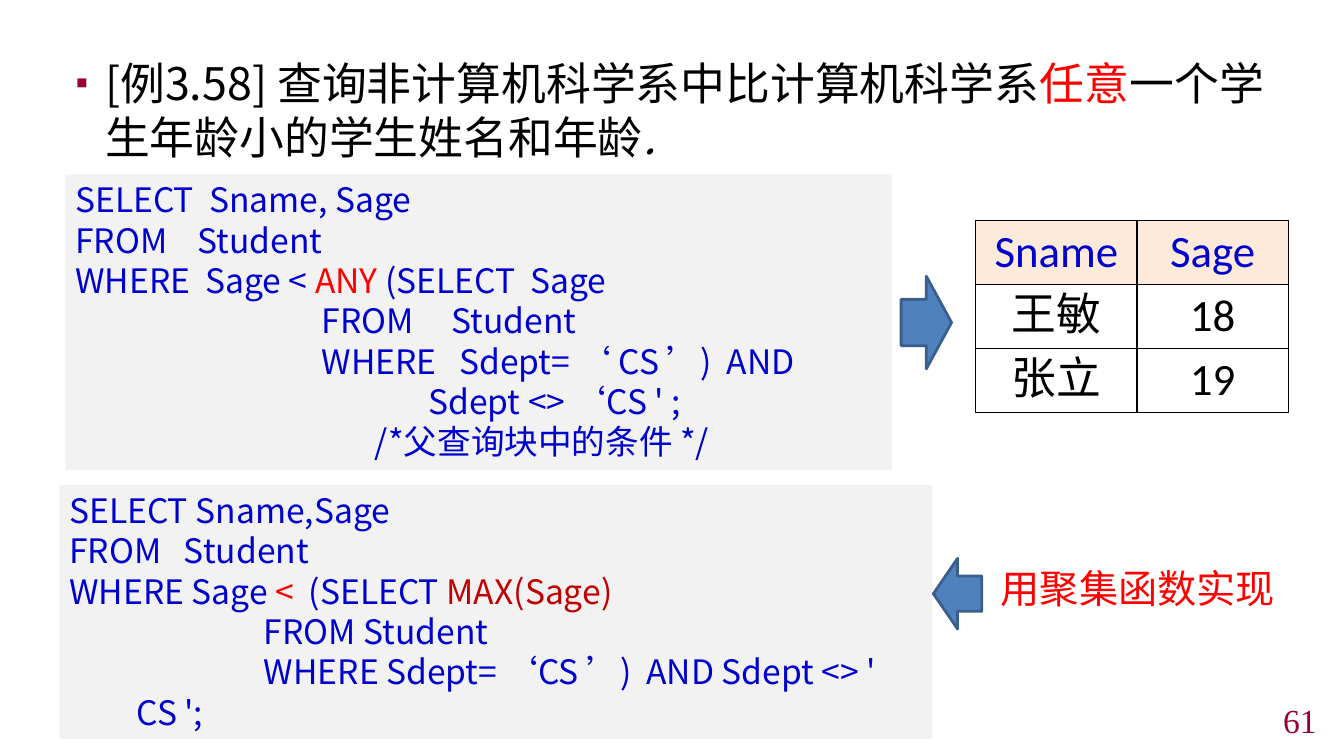
from pptx import Presentation
from pptx.dml.color import RGBColor
from pptx.enum.shapes import MSO_SHAPE
from pptx.enum.text import MSO_ANCHOR, MSO_AUTO_SIZE, PP_ALIGN
from pptx.oxml import parse_xml
from pptx.oxml.ns import nsdecls
from pptx.util import Pt

RECT, RIGHT_ARROW, LEFT_ARROW = MSO_SHAPE.RECTANGLE, MSO_SHAPE.RIGHT_ARROW, MSO_SHAPE.LEFT_ARROW
TOP, MIDDLE = MSO_ANCHOR.TOP, MSO_ANCHOR.MIDDLE
NO_FIT = MSO_AUTO_SIZE.NONE
LEFT, CENTER, RIGHT = PP_ALIGN.LEFT, PP_ALIGN.CENTER, PP_ALIGN.RIGHT

COLORS = {
    "black": "000000", "red": "FF0000", "dark_red": "C00000", "code": "0000CC",
    "accent": "990033", "panel": "F2F2F2", "header": "FDEADA",
    "arrow": "4F81BD", "arrow_edge": "3A5F8C",
}
CJK, LATIN, SERIF = "Noto Sans CJK SC", "Calibri", "Times New Roman"
HANG = 48  # hanging indent of the code lines
LINE_PITCH = 1.2  # line height relative to the text size


def rgb(name):
    return RGBColor.from_string(COLORS[name])


class SlideBuilder:
    """Holds the current slide and the shared text style."""

    def __init__(self, slide):
        self.slide = slide

    def add_runs(self, paragraph, runs, size, font=CJK, align=LEFT, margin=0, indent=0):
        """Fill a paragraph with (text, colour[, italic]) runs."""
        paragraph.alignment = align
        paragraph.line_spacing = Pt(size * LINE_PITCH)
        properties = paragraph._p.get_or_add_pPr()
        properties.set("marL", str(Pt(margin)))
        properties.set("indent", str(Pt(indent)))
        for text, color, *italic in runs:
            run = paragraph.add_run()
            run.text = text
            run.font.size, run.font.name = Pt(size), font
            run.font.color.rgb = rgb(color)
            if italic:
                run.font.italic = True
            run._r.get_or_add_rPr().append(
                parse_xml(f'<a:ea {nsdecls("a")} typeface="{CJK}"/>'))
        return properties

    def frame(self, shape, anchor=TOP):
        text_frame = shape.text_frame
        text_frame.word_wrap = True
        text_frame.auto_size = NO_FIT
        text_frame.vertical_anchor = anchor
        return text_frame

    def body(self, box, runs, size):
        holder = self.slide.placeholders[1]
        holder.left, holder.top, holder.width, holder.height = map(Pt, box)
        paragraph = self.frame(holder).paragraphs[0]
        paragraph.space_before = Pt(size * 0.2)
        properties = self.add_runs(paragraph, runs, size, margin=21, indent=-21)
        for bullet in (f'<a:buClr {{}}><a:srgbClr val="{COLORS["accent"]}"/></a:buClr>',
                       '<a:buSzPct {} val="80000"/>', '<a:buChar {} char="▪"/>'):
            properties.append(parse_xml(bullet.format(nsdecls("a"))))

    def label(self, box, text, color, size, font=CJK, align=LEFT, anchor=TOP):
        textbox = self.slide.shapes.add_textbox(*map(Pt, box))
        paragraph = self.frame(textbox, anchor).paragraphs[0]
        self.add_runs(paragraph, [(text, color)], size, font, align)

    def shape(self, kind, box, fill, edge=None):
        shape = self.slide.shapes.add_shape(kind, *map(Pt, box))
        shape.shadow.inherit = False
        shape.fill.solid()
        shape.fill.fore_color.rgb = rgb(fill)
        if edge:
            shape.line.color.rgb = rgb(edge)
            shape.line.width = Pt(2)
        else:
            shape.line.fill.background()
        return shape

    def code(self, box, lines):
        """Panel of code; each line is (start offset, runs)."""
        text_frame = self.frame(self.shape(RECT, box, "panel"))
        for number, (start, runs) in enumerate(lines):
            paragraph = text_frame.add_paragraph() if number else text_frame.paragraphs[0]
            self.add_runs(paragraph, runs, 24, margin=HANG, indent=start - HANG)

    def table(self, left, top, widths, row_height, rows):
        table = self.slide.shapes.add_table(
            len(rows), len(widths), Pt(left), Pt(top),
            Pt(sum(widths)), Pt(row_height * len(rows))).table
        for column, width in zip(table.columns, widths):
            column.width = Pt(width)
        for r, values in enumerate(rows):
            table.rows[r].height = Pt(row_height)
            for c, value in enumerate(values):
                cell = table.cell(r, c)
                cell.margin_left = cell.margin_right = Pt(9.36)
                cell.margin_top = cell.margin_bottom = Pt(3.6)
                self.add_runs(cell.text_frame.paragraphs[0],
                              [(value, "black" if r else "code")], 32, LATIN, CENTER)
                self.borders(cell)
                if r:
                    cell.fill.background()
                else:
                    cell.fill.solid()
                    cell.fill.fore_color.rgb = rgb("header")

    def borders(self, cell):
        for side in ("lnL", "lnR", "lnT", "lnB"):
            cell._tc.get_or_add_tcPr().append(parse_xml(
                f'<a:{side} {nsdecls("a")} w="{Pt(1)}"><a:solidFill>'
                f'<a:srgbClr val="{COLORS["black"]}"/></a:solidFill></a:{side}>'))


presentation = Presentation()
presentation.slide_width, presentation.slide_height = Pt(960), Pt(540)
slide = presentation.slides.add_slide(presentation.slide_layouts[1])
title = slide.shapes.title
title._element.getparent().remove(title._element)
builder = SlideBuilder(slide)

# Question and page number
builder.body((46.8, 36, 866.9, 478.8), [
    ("[例3.58] 查询非计算机科学系中比计算机科学系", "black"), ("任意", "red"),
    ("一个学生年龄小的学生姓名和年龄", "black"), (".", "black", True)], 32)
builder.label((743.8, 503.3, 203.8, 22.3), "61", "accent", 24, SERIF, RIGHT, MIDDLE)

# Query with ANY
builder.code((46.8, 124.6, 590.4, 211), [
    (0, [("SELECT  Sname, Sage", "code")]),
    (0, [("FROM    Student", "code")]),
    (0, [("WHERE  Sage < ", "code"), ("ANY ", "red"), ("(SELECT  Sage", "code")]),
    (176, [("FROM     Student", "code")]),
    (176, [("WHERE   Sdept= ‘ CS ’)  AND", "code")]),
    (252, [("Sdept <> ‘CS ' ;", "code")]),
    (214, [("/*父查询块中的条件 */", "code")]),
])

# Query result
builder.table(697, 157.7, (115.2, 108), 45.6,
              [("Sname", "Sage"), ("王敏", "18"), ("张立", "19")])

# Same query with an aggregate function
builder.code((42.5, 346.3, 623.5, 181.4), [
    (0, [("SELECT Sname,Sage", "code")]),
    (0, [("FROM   Student", "code")]),
    (0, [("WHERE Sage ", "code"), ("<  ", "red"), ("(SELECT ", "code"), ("MAX(Sage)", "dark_red")]),
    (139, [("FROM Student", "code")]),
    (139, [("WHERE Sdept= ‘CS ’)  AND Sdept <> ' CS ';", "code")]),
])
builder.label((707.8, 399.6, 212.4, 41), "用聚集函数实现", "red", 28)

# Arrows
for direction, box in ((RIGHT_ARROW, (643.7, 197.3, 36, 66.2)),
                       (LEFT_ARROW, (666.7, 398.9, 34.6, 50.4))):
    builder.shape(direction, box, "arrow", "arrow_edge")

presentation.save("out.pptx")
